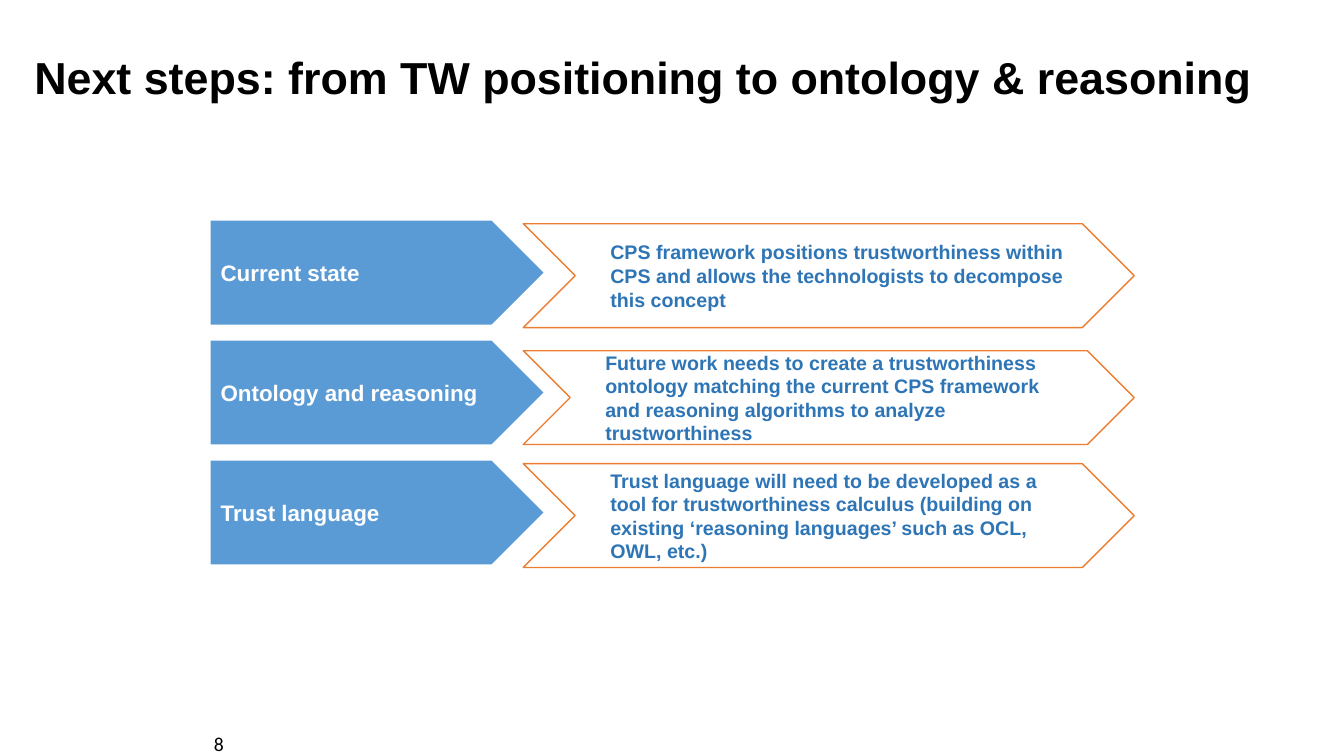
from dataclasses import dataclass

from pptx import Presentation
from pptx import util as u
from pptx.dml.color import RGBColor
from pptx.enum import shapes, text


@dataclass(frozen=True)
class Theme:
    """Colours, fonts and type sizes of the deck."""
    font: str = "Arial"
    number_font: str = "Calibri"
    black: str = "000000"
    white: str = "FFFFFF"
    blue: str = "5B9BD5"
    dark_blue: str = "2E75B6"
    orange: str = "ED7D31"
    title: int = 32
    label: int = 16
    body: int = 14


class Deck:
    """Draws styled elements on the current slide."""

    def __init__(self, theme):
        """Create a wide deck with one title-only slide."""
        self.theme = theme
        self.prs = Presentation()
        self.prs.slide_width = u.Inches(13.33)
        self.prs.slide_height = u.Inches(7.5)
        self.s = self.prs.slides.add_slide(self.prs.slide_layouts[5])

    def put_text(self, sp, words, size, color, bold=True, align=text.PP_ALIGN.LEFT, font=None):
        """Put one formatted paragraph in a shape and return it."""
        tf = sp.text_frame
        tf.text = words
        tf.word_wrap = True
        tf.auto_size = text.MSO_AUTO_SIZE.NONE
        tf.vertical_anchor = text.MSO_ANCHOR.MIDDLE
        p = tf.paragraphs[0]
        p.alignment = align
        for r in p.runs:
            r.font.name = font or self.theme.font
            r.font.size = u.Pt(size)
            r.font.bold = bold
            r.font.color.rgb = RGBColor.from_string(color)
        return p

    def title(self, words, x, y, w, h):
        """Place and fill the title placeholder."""
        sp = self.s.shapes.title
        sp.left, sp.top, sp.width, sp.height = map(u.Inches, (x, y, w, h))
        p = self.put_text(sp, words, self.theme.title, self.theme.black)
        p.line_spacing = 0.9

    def number(self, words, x, y, w, h):
        """Add the slide number box."""
        sp = self.s.shapes.add_textbox(*map(u.Inches, (x, y, w, h)))
        tf = sp.text_frame
        tf.margin_left = tf.margin_right = tf.margin_top = tf.margin_bottom = 0
        self.put_text(sp, words, self.theme.body, self.theme.black, False,
                      text.PP_ALIGN.RIGHT, self.theme.number_font)

    def shape(self, kind, x, y, w, h, fill):
        """Add a flat filled shape without an outline."""
        sp = self.s.shapes.add_shape(kind, *map(u.Inches, (x, y, w, h)))
        sp.shadow.inherit = False
        sp.fill.solid()
        sp.fill.fore_color.rgb = RGBColor.from_string(fill)
        sp.line.fill.background()
        return sp

    def label(self, words, x, y, w, h):
        """Add a solid arrow that names a step."""
        sp = self.shape(shapes.MSO_SHAPE.PENTAGON, x, y, w, h, self.theme.blue)
        self.put_text(sp, words, self.theme.label, self.theme.white)

    def detail(self, words, x, y, w, h):
        """Add an outlined chevron that explains a step."""
        sp = self.shape(shapes.MSO_SHAPE.CHEVRON, x, y, w, h, self.theme.white)
        sp.line.color.rgb = RGBColor.from_string(self.theme.orange)
        sp.line.width = u.Pt(1)
        p = self.put_text(sp, words, self.theme.body, self.theme.dark_blue)
        p.level = 1
        p._p.get_or_add_pPr().set("marL", str(u.Inches(0.25)))


STEPS = [
    ("Current state", 0.03, 1.03,
     "CPS framework positions trustworthiness within CPS and allows the "
     "technologists to decompose this concept"),
    ("Ontology and reasoning", 0.1, 0.93,
     "Future work needs to create a trustworthiness ontology matching the current "
     "CPS framework and reasoning algorithms to analyze trustworthiness"),
    ("Trust language", 0.03, 1.03,
     "Trust language will need to be developed as a tool for trustworthiness calculus "
     "(building on existing ‘reasoning languages’ such as OCL, OWL, etc.)"),
]


def main():
    """Build the slide and save it."""
    deck = Deck(Theme())
    deck.title("Next steps: from TW positioning to ontology & reasoning", 0.24, 0.28, 12.61, 1.03)
    deck.number("8", 1.67, 7.19, 0.55, 0.37)
    for i, (name, drop, height, words) in enumerate(STEPS):
        top = 2.19 + i * 1.19
        deck.label(name, 2.09, top, 3.3, 1.03)
        deck.detail(words, 5.19, top + drop, 6.06, height)
    deck.prs.save("out.pptx")


if __name__ == "__main__":
    main()
